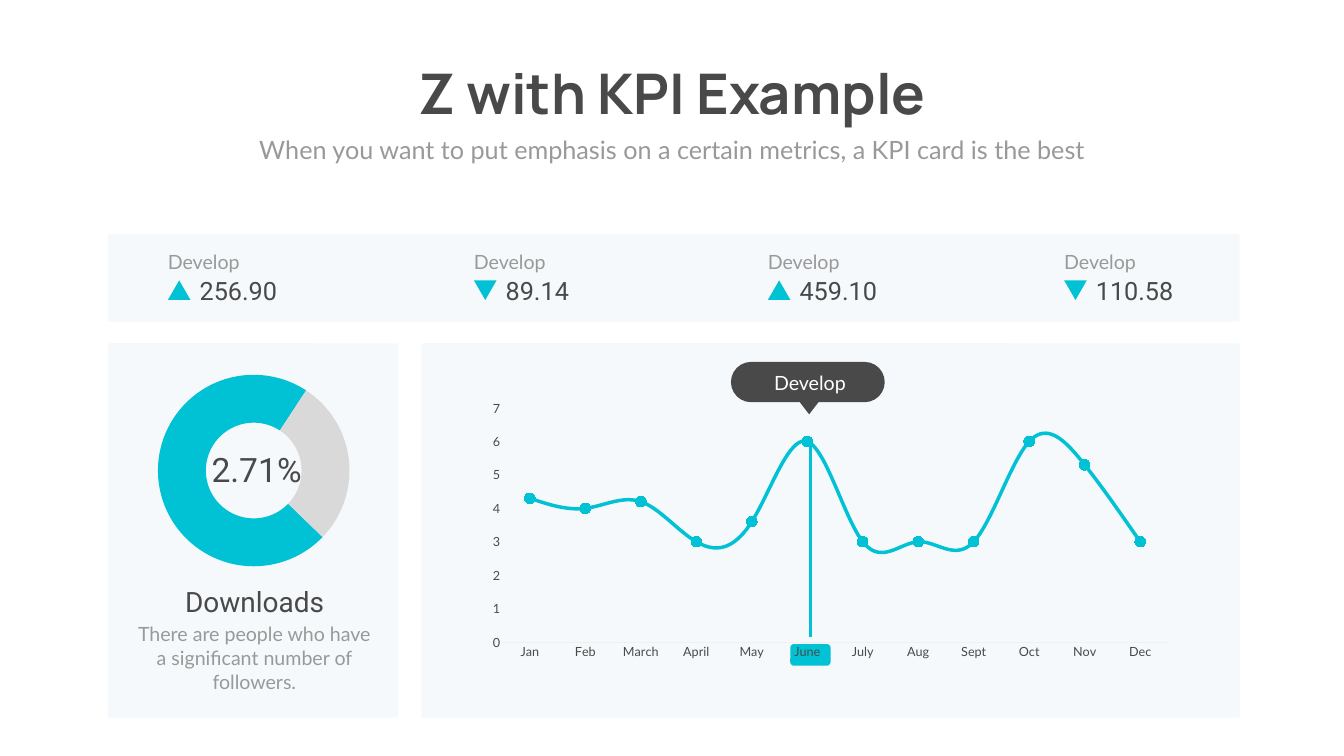
from lxml import etree
from pptx import Presentation
from pptx.chart.data import CategoryChartData
from pptx.dml.color import RGBColor
from pptx.enum.chart import XL_CHART_TYPE as ChartType
from pptx.enum.chart import XL_MARKER_STYLE as Marker
from pptx.enum.chart import XL_TICK_MARK as Tick
from pptx.enum.shapes import MSO_CONNECTOR as Connector
from pptx.enum.shapes import MSO_SHAPE as Shape
from pptx.enum.text import MSO_ANCHOR as Anchor
from pptx.enum.text import PP_ALIGN as Align
from pptx.oxml import parse_xml
from pptx.oxml.ns import nsdecls, qn
from pptx.util import Cm, Pt

ACCENT, MARKER, DARK = "01C1D4", "01ABBC", "494949"
GREY, PALE, CARD, AXIS = "999999", "D9D9D9", "F5F9FB", "F0F0F0"
WHITE = "FFFFFF"
LABEL_WIDTH, LABEL_HEIGHT = 5.18, 1.57
TRIANGLE_WIDTH = 1.14


def color(hex_code):
    return RGBColor.from_string(hex_code)


def write(frame, text, size, font, hex_code, align=Align.LEFT, spacing=None, bold=False):
    frame.vertical_anchor = Anchor.TOP
    paragraph = frame.paragraphs[0]
    paragraph.alignment = align
    if spacing:
        paragraph.line_spacing = Pt(spacing)
    run = paragraph.add_run()
    run.text = text
    run.font.size, run.font.name, run.font.bold = Pt(size), font, bold
    run.font.color.rgb = color(hex_code)


def add_text(slide, left, top, width, height, text, size, font, hex_code, **style):
    box = slide.shapes.add_textbox(Cm(left), Cm(top), Cm(width), Cm(height))
    box.text_frame.word_wrap = True
    write(box.text_frame, text, size, font, hex_code, **style)


def add_label(slide, left, top, text, hex_code, align=Align.LEFT):
    add_text(slide, left, top, LABEL_WIDTH, LABEL_HEIGHT, text, 28, "Lato", hex_code,
             align=align, spacing=40.8)


def add_filled(slide, kind, left, top, width, height, fill, radius=None, rotation=0):
    shape = slide.shapes.add_shape(kind, Cm(left), Cm(top), Cm(width), Cm(height))
    shape.shadow.inherit = False
    shape.fill.solid()
    shape.fill.fore_color.rgb = color(fill)
    shape.line.fill.background()
    shape.rotation = rotation
    if radius is not None:
        shape.adjustments[0] = radius


def add_card(slide, left, top, width, height):
    add_filled(slide, Shape.ROUNDED_RECTANGLE, left, top, width, height, CARD,
               radius=0.12 / min(width, height))


def add_plain_chart(slide, kind, box, categories, values, size, font, hex_code):
    data = CategoryChartData()
    data.categories = categories
    data.add_series("Series 1", values)
    chart = slide.shapes.add_chart(kind, *(Cm(v) for v in box), data).chart
    chart.has_legend = chart.has_title = False
    chart.font.size, chart.font.name = Pt(size), font
    chart.font.color.rgb = color(hex_code)
    return chart


def place_plot(chart, x, y, w, h):
    """Fix the inner plot area as fractions of the chart."""
    plot_area = chart.element.find(".//" + qn("c:plotArea"))
    for layout in plot_area.findall(qn("c:layout")):
        plot_area.remove(layout)
    sizes = "".join(f'<c:{tag} val="{value}"/>'
                    for tag, value in zip("xywh", (x, y, w, h)))
    plot_area.insert(0, parse_xml(
        f'<c:layout {nsdecls("c")}><c:manualLayout><c:layoutTarget val="inner"/>'
        f'<c:xMode val="edge"/><c:yMode val="edge"/>{sizes}'
        '</c:manualLayout></c:layout>'))


def add_heading(slide, left, top, width):
    title = slide.shapes.title
    title_width = 27.71
    title.left, title.top = Cm(left + (width - title_width) / 2), Cm(top)
    title.width, title.height = Cm(title_width), Cm(3.68)
    title.text_frame.word_wrap = False
    write(title.text_frame, "Z with KPI Example", 80, "Manrope", DARK,
          align=Align.CENTER, bold=True)
    add_text(slide, left, top + 3.79, width, 1.8,
             "When you want to put emphasis on a certain metrics, a KPI card is the best",
             36, "Lato", GREY, align=Align.CENTER)


def add_kpi(slide, left, top, value, rising):
    add_label(slide, left, top, "Develop", GREY)
    add_filled(slide, Shape.ISOSCELES_TRIANGLE, left + 0.25, top + 1.91,
               TRIANGLE_WIDTH, 0.99, ACCENT, rotation=0 if rising else 180)
    add_text(slide, left + 1.6, top + 1.55, LABEL_WIDTH, 1.8, value, 36, "Roboto", DARK)


def add_kpi_strip(slide, left, top, width, height):
    add_card(slide, left, top, width, height)
    kpis = [(2.77, "256.90", True), (18.19, "89.14", False),
            (33, "459.10", True), (47.93, "110.58", False)]
    for offset, value, rising in kpis:
        add_kpi(slide, left + offset, top + 0.43, value, rising)


def add_downloads_card(slide, left, top, width, height):
    add_card(slide, left, top, width, height)
    donut = add_plain_chart(slide, ChartType.DOUGHNUT,
                            (left + 2.06, top + 1.17, 10.57, 10.49),
                            ["1", "2"], [72, 28], 10, "Calibri", GREY)
    place_plot(donut, 0.04, 0.04, 0.92, 0.92)
    plot = donut.plots[0]
    plot.vary_by_categories = False
    for index, fill in enumerate((ACCENT, PALE)):
        slice_format = plot.series[0].points[index].format
        slice_format.fill.solid()
        slice_format.fill.fore_color.rgb = color(fill)
        slice_format.line.fill.background()
    ring = donut.element.find(".//" + qn("c:doughnutChart"))
    for tag, value in (("c:firstSliceAng", "134"), ("c:holeSize", "86")):
        setting = ring.find(qn(tag))
        if setting is None:
            setting = etree.SubElement(ring, qn(tag))
        setting.set("val", value)

    add_text(slide, left + 4.9, top + 5.18, LABEL_WIDTH, 2.31, "2.71%", 48, "Roboto",
             DARK, align=Align.CENTER)
    add_text(slide, left - 1.85, top + 12.04, 18.47, 1.96, "Downloads", 40, "Roboto",
             DARK, align=Align.CENTER)
    add_text(slide, left + 1.19, top + 13.94, 12.37, 3.84,
             "There are people who have a significant number of followers.",
             28, "Lato", GREY, align=Align.CENTER)


def add_trend_chart(slide, left, top, width, height):
    months = ["Jan", "Feb", "March", "April", "May", "June",
              "July", "Aug", "Sept", "Oct", "Nov", "Dec"]
    values = [4.3, 4, 4.2, 3, 3.6, 6, 3, 3, 3, 6, 5.3, 3]
    chart = add_plain_chart(slide, ChartType.LINE_MARKERS, (left, top, width, height),
                            months, values, 18, "Lato", DARK)
    place_plot(chart, 0.033, 0.046, 0.947, 0.87)
    chart.plots[0].vary_by_categories = False
    for axis in (chart.category_axis, chart.value_axis):
        axis.has_major_gridlines = False
        axis.major_tick_mark = axis.minor_tick_mark = Tick.NONE
        axis.tick_labels.font.size = Pt(18)
    chart.category_axis.format.line.color.rgb = color(AXIS)
    chart.category_axis.format.line.width = Pt(0.75)
    scale = chart.value_axis
    scale.format.line.fill.background()
    scale.minimum_scale, scale.maximum_scale, scale.major_unit = 0, 7, 1

    series = chart.plots[0].series[0]
    series.smooth = True
    series.format.line.color.rgb = color(ACCENT)
    series.format.line.width = Pt(5)
    series.marker.style, series.marker.size = Marker.CIRCLE, 15
    series.marker.format.fill.solid()
    series.marker.format.fill.fore_color.rgb = color(MARKER)
    series.marker.format.line.fill.background()


def add_callout(slide, left, top, width, height):
    add_filled(slide, Shape.ROUNDED_RECTANGLE, left, top, width, height, DARK, radius=0.5)
    add_filled(slide, Shape.ISOSCELES_TRIANGLE, left + 3.37, top + 1.9,
               TRIANGLE_WIDTH, 0.74, DARK, rotation=180)
    add_label(slide, left + 1.39, top + 0.1, "Develop", WHITE, align=Align.CENTER)


def add_trend_card(slide, left, top, width, height):
    add_card(slide, left, top, width, height)
    add_filled(slide, Shape.ROUNDED_RECTANGLE, left + 18.59, top + 15.16, 2.03, 1.09, ACCENT)
    add_trend_chart(slide, left + 2.9, top + 2.64, 35.43, 13.56)
    june_x = Cm(left + 19.61)
    june_line = slide.shapes.add_connector(Connector.STRAIGHT, june_x, Cm(top + 5.18),
                                           june_x, Cm(top + 14.78))
    june_line.line.color.rgb = color(ACCENT)
    june_line.line.width = Pt(3)
    etree.SubElement(june_line.element.spPr, qn("a:effectLst"))
    add_callout(slide, left + 15.6, top + 0.94, 7.75, 2.03)


def main():
    deck = Presentation()
    deck.slide_width, deck.slide_height = Cm(67.72), Cm(38.1)
    slide = deck.slides.add_slide(deck.slide_layouts[5])
    add_heading(slide, 7.42, 2.84, 52.88)
    add_kpi_strip(slide, 5.44, 11.79, 57.02, 4.42)
    add_downloads_card(slide, 5.44, 17.3, 14.63, 18.87)
    add_trend_card(slide, 21.23, 17.3, 41.25, 18.87)
    deck.save("out.pptx")


if __name__ == "__main__":
    main()
